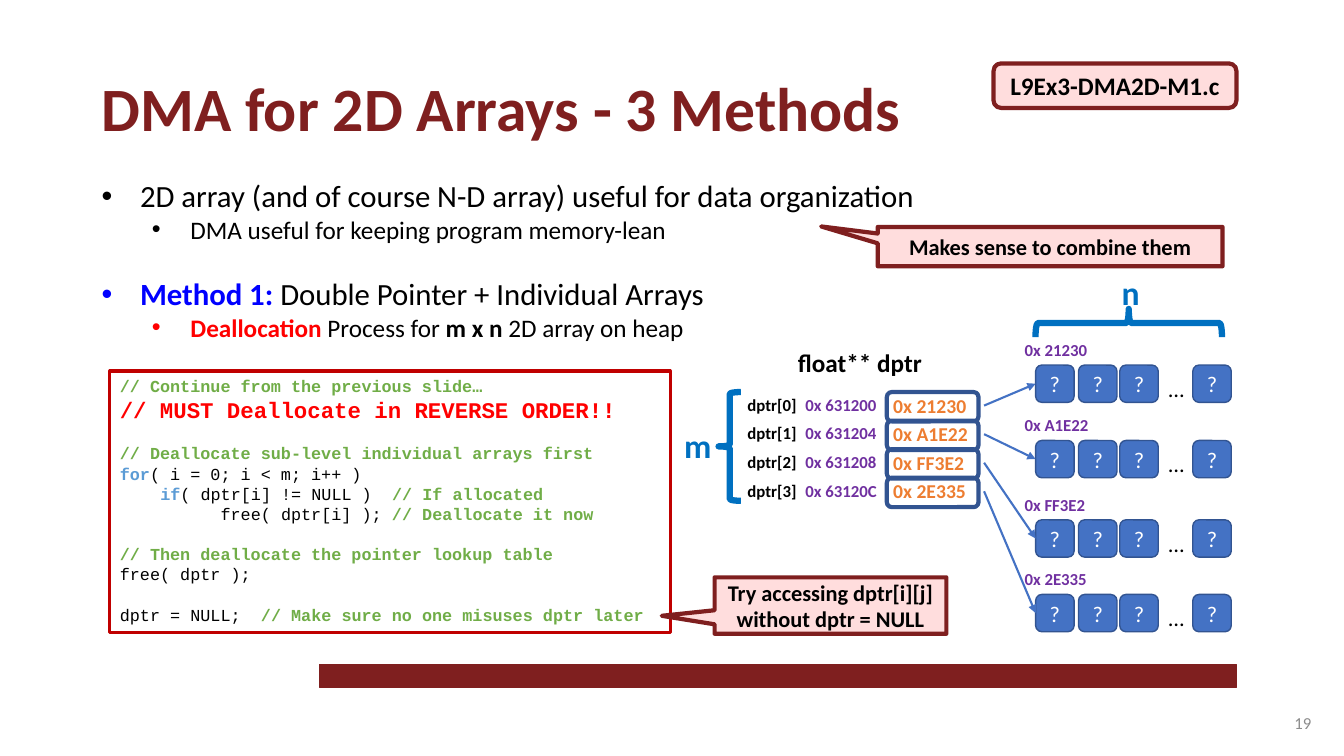
from lxml import etree
from pptx import Presentation
from pptx.dml.color import RGBColor
from pptx.enum.shapes import MSO_CONNECTOR, MSO_SHAPE
from pptx.enum.text import MSO_ANCHOR, PP_ALIGN
from pptx.oxml.ns import qn
from pptx.util import Cm, Pt

RECT, ROUND = MSO_SHAPE.RECTANGLE, MSO_SHAPE.ROUNDED_RECTANGLE
CALLOUT, BRACE = MSO_SHAPE.RECTANGULAR_CALLOUT, MSO_SHAPE.LEFT_BRACE
STRAIGHT = MSO_CONNECTOR.STRAIGHT
LEFT, CENTER, RIGHT = PP_ALIGN.LEFT, PP_ALIGN.CENTER, PP_ALIGN.RIGHT
TOP, MIDDLE = MSO_ANCHOR.TOP, MSO_ANCHOR.MIDDLE
LEFT_SITE, RIGHT_SITE = 1, 3

COLORS = {
    "maroon": "7F1F1F", "pink": "FFDDDD", "black": "000000", "white": "FFFFFF",
    "blue": "0000FF", "red": "FF0000", "frame": "C00000", "comment": "70AD47",
    "keyword": "5B9BD5", "cell": "4472C4", "edge": "325491", "brace": "0070C0",
    "address": "7030A0", "value": "ED7D31", "gray": "8C8C8C",
}
BODY_FONT, CODE_FONT = "Calibri", "Courier New"

# Content: runs are (text, colour, bold)
TITLE = "DMA for 2D Arrays - 3 Methods"
FILE_NAME = "L9Ex3-DMA2D-M1.c"
PAGE = "19"
# (level, space before in points, runs)
BULLETS = [
    (0, 0, [("2D array (and of course N-D array) useful for data organization", "black", False)]),
    (1, 0, [("DMA useful for keeping program memory-lean", "black", False)]),
    (0, 22, [("Method 1:", "blue", True),
             (" Double Pointer + Individual Arrays", "black", False)]),
    (1, 0, [("Deallocation", "red", True), (" Process for ", "black", False),
            ("m x n ", "black", True), ("2D array on heap", "black", False)]),
]
BULLET_SIZES = (22, 18)
BULLET_INDENTS = (0.97, 2.24)
# (indent in cm, size, space before in points, runs)
CODE = [
    (0, 12, 0, [("// Continue from the previous slide…", "comment", True)]),
    (0, 16, 0, [("// MUST Deallocate in REVERSE ORDER!!", "red", True)]),
    (0, 12, 14.4, [("// Deallocate sub-level individual arrays first", "comment", True)]),
    (0, 12, 0, [("for", "keyword", True), ("( i = 0; i < m; i++ )", "black", False)]),
    (1.02, 12, 0, [("if", "keyword", True), ("( dptr[i] != NULL )  ", "black", False),
                   ("// If allocated", "comment", True)]),
    (2.54, 12, 0, [("free( dptr[i] ); ", "black", False),
                   ("// Deallocate it now", "comment", True)]),
    (0, 12, 14.4, [("// Then deallocate the pointer lookup table", "comment", True)]),
    (0, 12, 0, [("free( dptr );", "black", False)]),
    (0, 12, 14.4, [("dptr = NULL;  ", "black", False),
                   ("// Make sure no one misuses dptr later", "comment", True)]),
]
# (name, own address, stored address, top of its array in cm)
POINTERS = [
    ("dptr[0]", "0x 631200", "0x 21230", 9.2),
    ("dptr[1]", "0x 631204", "0x A1E22", 11.1),
    ("dptr[2]", "0x 631208", "0x FF3E2", 13.1),
    ("dptr[3]", "0x 63120C", "0x 2E335", 14.98),
]
CELL_LEFTS = (26.1, 27.18, 28.22, 30.06)
# (text, box in cm, pointer adjustments)
CALLOUTS = [
    ("Makes sense to combine them", (22.12, 5.72, 8.69, 0.99), (-0.664, -0.514)),
    ("Try accessing dptr[i][j] without dptr = NULL", (18.01, 14.55, 5.84, 1.42),
     (-0.728, 0.182)),
]

prs = Presentation()
prs.slide_width, prs.slide_height = Cm(33.87), Cm(19.05)
slide = prs.slides.add_slide(prs.slide_layouts[6])


def color(name):
    return RGBColor.from_string(COLORS[name])


def style(run, size, tone, bold, font=BODY_FONT):
    run.font.name, run.font.size, run.font.bold = font, Pt(size), bold
    run.font.color.rgb = color(tone)


def write(target, text, size, tone, bold=True, align=LEFT, anchor=TOP):
    frame = target.text_frame
    frame.word_wrap, frame.vertical_anchor = True, anchor
    frame.text = text
    paragraph = frame.paragraphs[0]
    paragraph.alignment = align
    style(paragraph.runs[0], size, tone, bold)


def label(text, box, size, tone, **options):
    target = slide.shapes.add_textbox(*map(Cm, box))
    write(target, text, size, tone, **options)
    return target


def outline(kind, box, line, width, fill=None):
    shape = slide.shapes.add_shape(kind, *map(Cm, box))
    shape.shadow.inherit = False
    shape.line.color.rgb, shape.line.width = color(line), Pt(width)
    if fill:
        shape.fill.solid()
        shape.fill.fore_color.rgb = color(fill)
    else:
        shape.fill.background()
    return shape


def paragraphs(frame, count):
    frame.word_wrap = True
    return [frame.paragraphs[0]] + [frame.add_paragraph() for _ in range(count - 1)]


def add_runs(paragraph, runs, size, font):
    paragraph.alignment = LEFT
    for text, tone, bold in runs:
        run = paragraph.add_run()
        run.text = text
        style(run, size, tone, bold, font)


def arrow(start, end):
    link = slide.shapes.add_connector(STRAIGHT, 0, 0, 0, 0)
    link.begin_connect(start, RIGHT_SITE)
    link.end_connect(end, LEFT_SITE)
    link.line.color.rgb, link.line.width = color("cell"), Pt(1.5)
    etree.SubElement(link.line._get_or_add_ln(), qn("a:tailEnd"), type="triangle")
    etree.SubElement(link._element.spPr, qn("a:effectLst"))


# Footer bar, title and page number
outline(RECT, (8.05, 16.74, 23.11, 0.58), "maroon", 1, "maroon")
label(TITLE, (2.31, 1.63, 21.36, 2.13), 44, "maroon")
label(PAGE, (25.68, 17.7, 7.62, 1.02), 12, "gray", bold=False, align=RIGHT, anchor=MIDDLE)

# Bullet list
bullet_frame = slide.shapes.add_textbox(Cm(2.31), Cm(4.34), Cm(29.24), Cm(4.45)).text_frame
for paragraph, (level, gap, runs) in zip(paragraphs(bullet_frame, len(BULLETS)), BULLETS):
    paragraph.level, paragraph.space_before = level, Pt(gap)
    add_runs(paragraph, runs, BULLET_SIZES[level], BODY_FONT)
    props = paragraph._p.get_or_add_pPr()
    props.set("marL", str(Cm(BULLET_INDENTS[level])))
    props.set("indent", str(-Cm(0.97)))
    etree.SubElement(props, qn("a:buFont"), typeface="Arial")
    etree.SubElement(props, qn("a:buChar"), char="•")

# Code listing
listing = outline(RECT, (2.77, 9.35, 14.12, 6.58), "frame", 2.25, "white")
listing.text_frame.vertical_anchor = TOP
for paragraph, (indent, size, gap, runs) in zip(
        paragraphs(listing.text_frame, len(CODE)), CODE):
    paragraph.space_before = Pt(gap)
    add_runs(paragraph, runs, size, CODE_FONT)
    paragraph._p.get_or_add_pPr().set("marL", str(Cm(indent)))

# Pointer table and the arrays it points to
label("float** dptr", (19.86, 8.64, 3.81, 1.02), 18, "black")
for i, (name, address, value, array_top) in enumerate(POINTERS):
    row_top = 9.82 + 0.72 * i
    outline(ROUND, (22.35, row_top + 0.06, 2.31, 0.74), "edge", 3)
    label(name, (18.54, row_top, 1.83, 0.76), 12, "black", align=CENTER)
    label(address, (20.05, row_top, 3.23, 0.76), 12, "address")
    stored = label(value, (22.26, row_top - 0.03, 2.54, 0.86), 14, "value")

    label(value, (25.57, array_top - 0.77, 2.49, 0.76), 12, "address")
    label("…", (29.2, array_top + 0.13, 0.97, 0.94), 16, "black", bold=False)
    cells = [outline(ROUND, (left, array_top, 0.97, 0.94), "edge", 1, "cell")
             for left in CELL_LEFTS]
    for cell in cells:
        write(cell, "?", 16, "white", bold=False, align=CENTER, anchor=MIDDLE)
    arrow(stored, cells[0])

# Dimension braces
outline(BRACE, (18.11, 9.88, 0.56, 2.74), "brace", 4.5)
label("m", (16.99, 10.57, 1.02, 1.27), 24, "brace")
outline(BRACE, (28.09, 5.79, 0.71, 4.7), "brace", 4.5).rotation = 90
label("n", (28.02, 6.73, 1.02, 1.27), 24, "brace")

# Callouts and file tag
for text, box, tip in CALLOUTS:
    callout = outline(CALLOUT, box, "maroon", 3, "pink")
    callout.adjustments[0], callout.adjustments[1] = tip
    write(callout, text, 16, "black", align=CENTER, anchor=MIDDLE)
file_tag = outline(ROUND, (25.04, 1.6, 6.12, 1.12), "maroon", 3, "pink")
write(file_tag, FILE_NAME, 18, "black", align=CENTER, anchor=MIDDLE)

prs.save("out.pptx")
